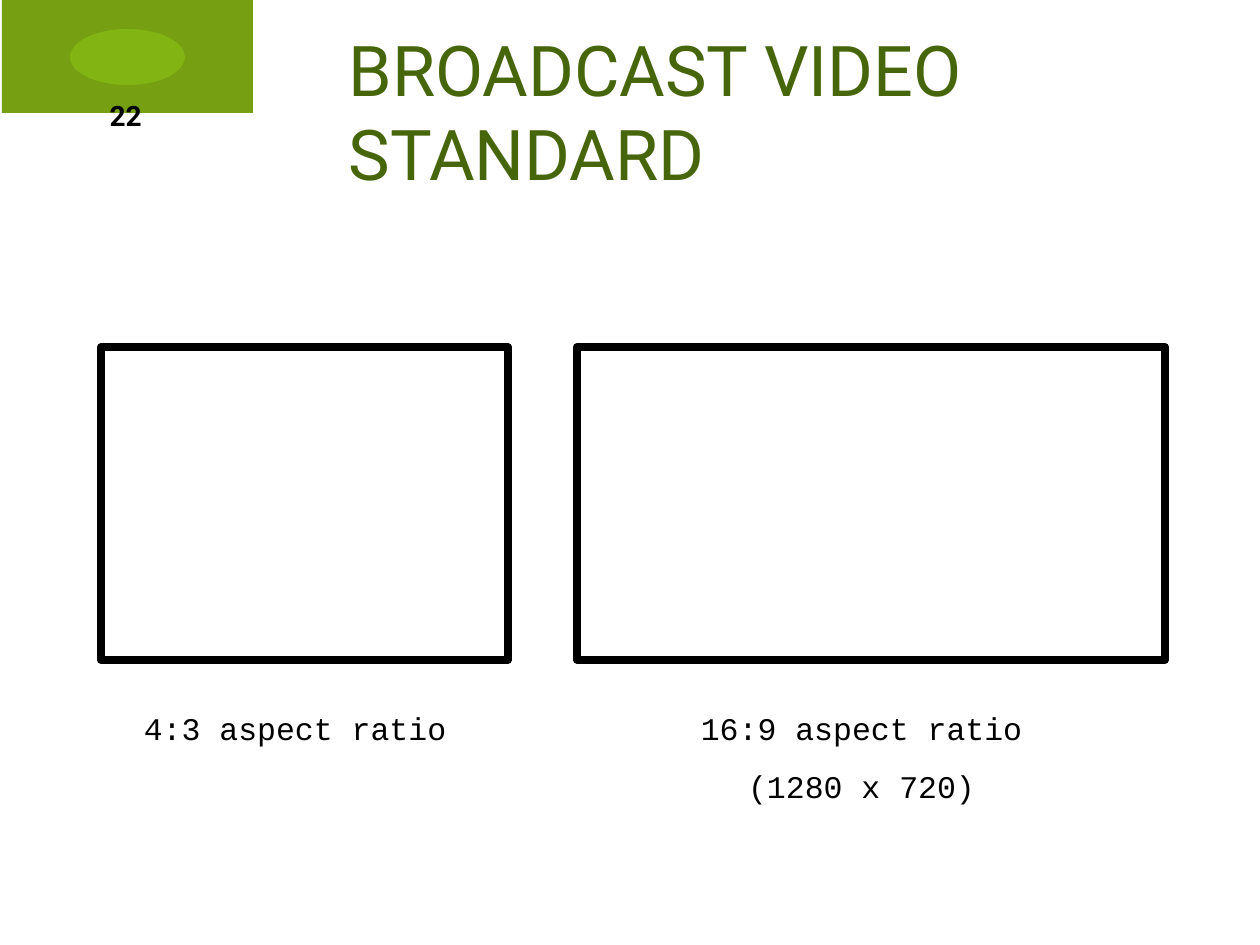
from lxml import etree
from pptx import Presentation
from pptx.dml.color import RGBColor
from pptx.enum.shapes import MSO_SHAPE
from pptx.enum.text import MSO_ANCHOR, MSO_AUTO_SIZE, PP_ALIGN
from pptx.oxml.ns import qn
from pptx.util import Emu, Pt

RECT, OVAL = MSO_SHAPE.RECTANGLE, MSO_SHAPE.OVAL
LEFT, CENTER = PP_ALIGN.LEFT, PP_ALIGN.CENTER
TOP, MIDDLE = MSO_ANCHOR.TOP, MSO_ANCHOR.MIDDLE
FIXED = MSO_AUTO_SIZE.NONE
SCALE = 914400 / 126
HEAD, MONO = "Roboto", "Courier New"
COLORS = {"band": "769F11", "oval": "8FCB17", "title": "47660C",
          "ink": "000000", "paper": "FFFFFF"}


def px(*sizes):
    """Turn px lengths into EMU."""
    return [Emu(round(size * SCALE)) for size in sizes]


def color(name):
    """Look up a named colour."""
    return RGBColor.from_string(COLORS[name])


def shape(slide, kind, box, fill, line=0):
    """Add a filled shape, with a black outline if a width is given."""
    item = slide.shapes.add_shape(kind, *px(*box))
    item.shadow.inherit = False
    item.fill.solid()
    item.fill.fore_color.rgb = color(fill)
    if line:
        item.line.color.rgb = color("ink")
        item.line.width = Pt(line)
    else:
        item.line.fill.background()
    return item


def write(frame, lines, face, size, ink="ink", align=CENTER, anchor=TOP,
          bold=False, gap=0):
    """Fill a text frame with one paragraph per line."""
    frame.word_wrap = True
    frame.auto_size = FIXED
    frame.vertical_anchor = anchor
    frame.text = "\n".join(lines)
    for rank, para in enumerate(frame.paragraphs):
        para.alignment = align
        para.space_before = Pt(gap if rank else 0)
        para.font.name = face
        para.font.size = Pt(size)
        para.font.bold = bold
        para.font.color.rgb = color(ink)


def label(slide, box, lines, face, size, **style):
    """Add a text box."""
    item = slide.shapes.add_textbox(*px(*box))
    write(item.text_frame, lines, face, size, **style)


def badge(slide, left, top, wide, high):
    """Draw the green corner with the page number."""
    shape(slide, RECT, (left, top, wide, high), "band")
    oval = shape(slide, OVAL, (left + 68, top + 29, 115, 56), "oval")
    tint = oval.fill._xPr.find(qn("a:solidFill"))[0]
    etree.SubElement(tint, qn("a:alpha")).set("val", "50000")
    label(slide, (left + 71, top + 73, 105, 84), ["22"], HEAD, 16,
          anchor=MIDDLE, bold=True)


def title(slide, *box):
    """Place and format the title."""
    item = slide.shapes.title
    item.left, item.top, item.width, item.height = px(*box)
    write(item.text_frame, ["BROADCAST VIDEO STANDARD"], HEAD, 40,
          ink="title", align=LEFT, anchor=MIDDLE)


def screen(slide, box, inset, wide, lines):
    """Draw a screen outline with its caption below."""
    left, top, _, high = box
    shape(slide, RECT, box, "paper", 4.5)
    label(slide, (left + inset, top + high + 43, wide, 50 + 58 * (len(lines) - 1)),
          lines, MONO, 18, gap=11.2)


def main():
    """Build and save the slide."""
    deck = Presentation()
    deck.slide_width, deck.slide_height = px(1260, 945)
    slide = deck.slides.add_slide(deck.slide_layouts[5])
    badge(slide, 2, 0, 251, 113)
    title(slide, 336, 32, 861, 157)
    screen(slide, (101, 347, 407, 313), -17, 441, ["4:3 aspect ratio "])
    screen(slide, (577, 347, 588, 313), 55, 478,
           ["16:9 aspect ratio ", "(1280 x 720) "])
    deck.save("out.pptx")


if __name__ == "__main__":
    main()
